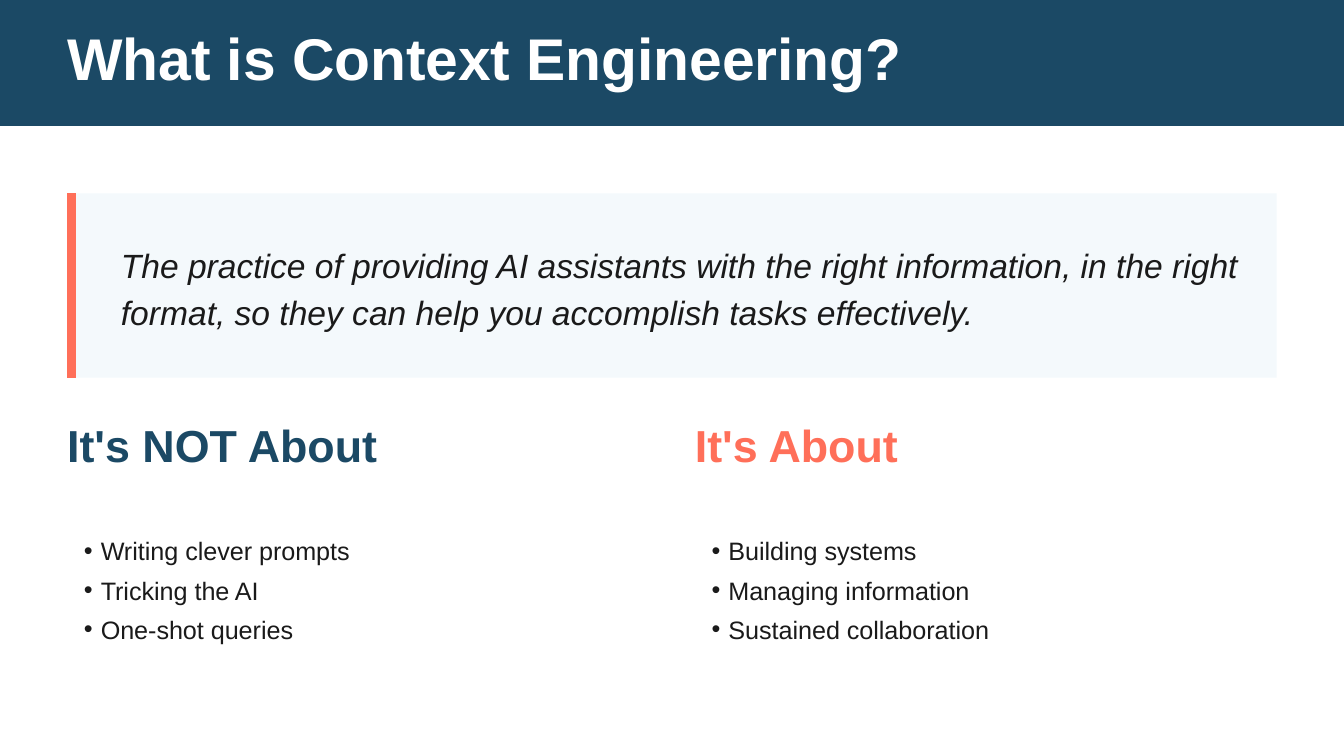
from lxml.etree import SubElement
from pptx import Presentation
from pptx.dml.color import RGBColor
from pptx.enum.shapes import MSO_CONNECTOR, MSO_SHAPE
from pptx.enum.text import MSO_ANCHOR, MSO_AUTO_SIZE, PP_ALIGN
from pptx.oxml.ns import qn
from pptx.util import Inches, Pt

NAVY = RGBColor(0x1B, 0x49, 0x65)
CORAL = RGBColor(0xFF, 0x6F, 0x59)
PALE = RGBColor(0xF4, 0xF9, 0xFC)
INK = RGBColor(0x1A, 0x1A, 0x1A)
WHITE = RGBColor(0xFF, 0xFF, 0xFF)
FONT = "Arial"

TITLE = "What is Context Engineering?"
DEFINITION = (
    "The practice of providing AI assistants with the right information, "
    "in the right format, so they can help you accomplish tasks effectively."
)
COLUMNS = [
    ("It's NOT About", NAVY, 2.36,
     ["Writing clever prompts", "Tricking the AI", "One-shot queries"]),
    ("It's About", CORAL, 2.22,
     ["Building systems", "Managing information", "Sustained collaboration"]),
]

WIDTH = 10
HEIGHT = WIDTH * 9 / 16
MARGIN = 0.5
CONTENT_WIDTH = WIDTH - 2 * MARGIN
GUTTER = 0.34
COLUMN_WIDTH = (CONTENT_WIDTH - GUTTER) / len(COLUMNS)
QUOTE_TOP, QUOTE_HEIGHT = 1.44, 1.37
ACCENT_WIDTH = 4.5
INDENT = Pt(9)


def place(shape, left, top, width, height):
    shape.left, shape.top = Inches(left), Inches(top)
    shape.width, shape.height = Inches(width), Inches(height)


def add_bullet(paragraph):
    properties = paragraph._p.get_or_add_pPr()
    properties.set("marL", str(INDENT))
    properties.set("indent", str(-INDENT))
    SubElement(properties, qn("a:buFont"), typeface=FONT)
    SubElement(properties, qn("a:buChar"), char="•")


def write(shape, lines, *, size, color, spacing, bold=False, italic=False,
          bullets=False, space_after=0):
    frame = shape.text_frame
    frame.word_wrap = True
    frame.auto_size = MSO_AUTO_SIZE.NONE
    frame.vertical_anchor = MSO_ANCHOR.TOP
    frame.margin_left = INDENT if bullets else 0
    frame.margin_top = frame.margin_right = frame.margin_bottom = 0
    frame.text = "\n".join(lines)
    for paragraph in frame.paragraphs:
        paragraph.alignment = PP_ALIGN.LEFT
        paragraph.line_spacing = Pt(spacing)
        paragraph.space_before = Pt(0)
        paragraph.space_after = Pt(space_after)
        font = paragraph.runs[0].font
        font.name, font.size = FONT, Pt(size)
        font.bold, font.italic = bold, italic
        font.color.rgb = color
        if bullets:
            add_bullet(paragraph)


def add_text(slide, lines, left, top, width, height, **style):
    box = slide.shapes.add_textbox(
        Inches(left), Inches(top), Inches(width), Inches(height))
    write(box, lines, **style)


def add_panel(slide, left, top, width, height, color):
    panel = slide.shapes.add_shape(
        MSO_SHAPE.RECTANGLE, Inches(left), Inches(top), Inches(width), Inches(height))
    panel.shadow.inherit = False
    panel.fill.solid()
    panel.fill.fore_color.rgb = color
    panel.line.fill.background()
    return panel


def add_accent(slide, x, top, bottom):
    accent = slide.shapes.add_connector(
        MSO_CONNECTOR.STRAIGHT, Inches(x), Inches(top), Inches(x), Inches(bottom))
    accent.line.color.rgb = CORAL
    accent.line.width = Pt(ACCENT_WIDTH)
    SubElement(accent.element.spPr, qn("a:effectLst"))


def main():
    presentation = Presentation()
    presentation.slide_width = Inches(WIDTH)
    presentation.slide_height = Inches(HEIGHT)
    slide = presentation.slides.add_slide(presentation.slide_layouts[5])
    slide.background.fill.solid()
    slide.background.fill.fore_color.rgb = WHITE

    title = slide.shapes.title
    band = add_panel(slide, 0, 0, WIDTH, HEIGHT / 6, NAVY)
    title.element.addprevious(band.element)  # keep the band behind the title
    place(title, MARGIN, 0.25, 6.35, 0.44)
    write(title, [TITLE], size=31.5, color=WHITE, spacing=31.5, bold=True)

    add_panel(slide, MARGIN, QUOTE_TOP, CONTENT_WIDTH, QUOTE_HEIGHT, PALE)
    add_accent(slide, MARGIN + ACCENT_WIDTH / 72 / 2, QUOTE_TOP, QUOTE_TOP + QUOTE_HEIGHT)
    add_text(slide, [DEFINITION], 0.9, 1.77, 8.44, 0.7,
             size=18, color=INK, spacing=25.2, italic=True)

    for index, (heading, color, heading_width, items) in enumerate(COLUMNS):
        left = MARGIN + index * (COLUMN_WIDTH + GUTTER)
        add_text(slide, [heading], left, 3.14, heading_width, 0.37,
                 size=24, color=color, spacing=26.7, bold=True, space_after=18)
        add_text(slide, items, left, 3.92, COLUMN_WIDTH, 0.96,
                 size=13.5, color=INK, spacing=21, bullets=True)

    presentation.save("out.pptx")


if __name__ == "__main__":
    main()
